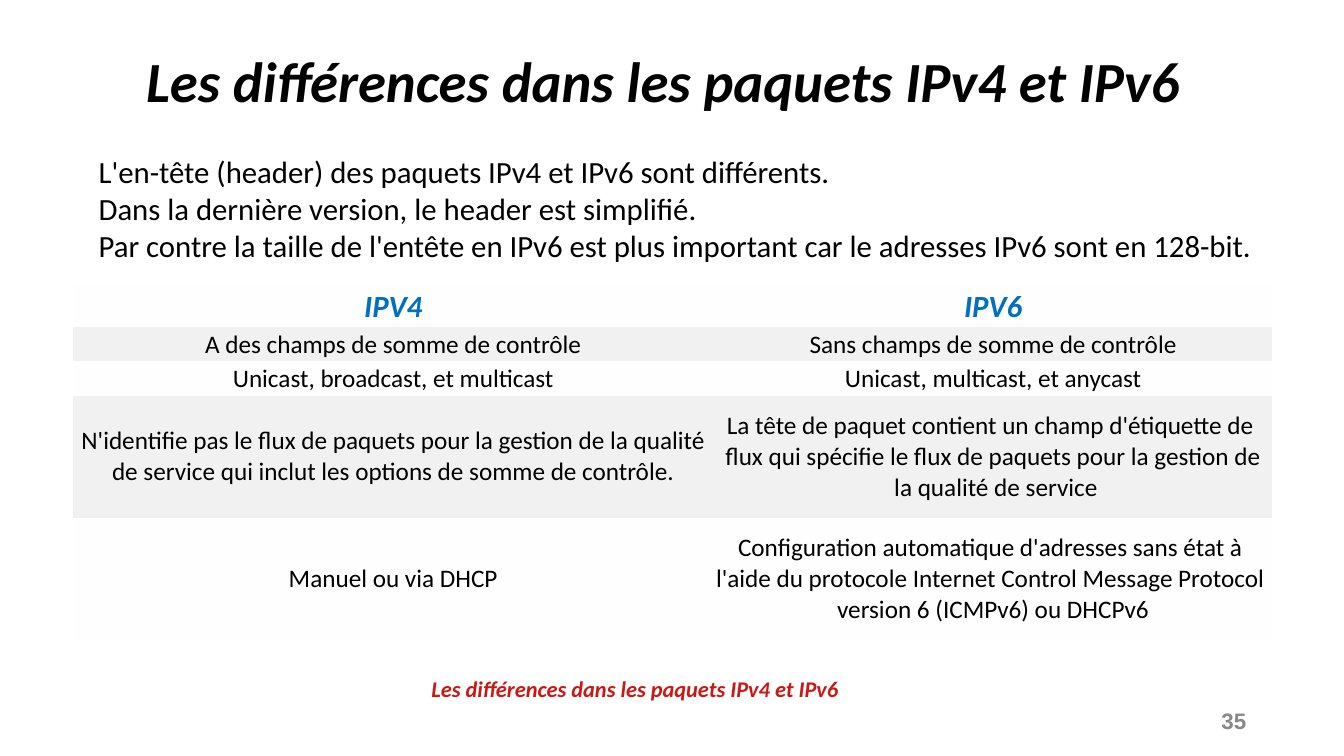
from dataclasses import dataclass

from pptx import Presentation
from pptx.dml.color import RGBColor
from pptx.enum.text import MSO_ANCHOR, PP_ALIGN
from pptx.oxml.ns import qn
from pptx.slide import Slide
from pptx.text.text import TextFrame
from pptx.util import Inches, Pt

BLACK = RGBColor(0x00, 0x00, 0x00)
WHITE = RGBColor(0xFF, 0xFF, 0xFF)
BLUE = RGBColor(0x00, 0x70, 0xC0)
RED = RGBColor(0xCA, 0x18, 0x14)
GREY = RGBColor(0x88, 0x88, 0x88)
PLAIN_ROW = RGBColor(0xFE, 0xFE, 0xFE)
SHADED_ROW = RGBColor(0xF1, 0xF1, 0xF1)
PLAIN_TABLE_STYLE = "{2D5ABB26-0587-4C30-8999-92F81FD0307C}"

TOPIC = "Les différences dans les paquets IPv4 et IPv6"


@dataclass(frozen=True)
class TextStyle:
    size: float
    color: RGBColor = BLACK
    bold: bool = False
    italic: bool = False
    font: str = "Calibri"
    align: PP_ALIGN = PP_ALIGN.LEFT
    line_spacing: float = 1.0


@dataclass(frozen=True)
class TextBlock:
    left: float
    top: float
    width: float
    height: float
    lines: tuple[str, ...]
    style: TextStyle
    anchor: MSO_ANCHOR = MSO_ANCHOR.TOP
    side_margin: float = 0.1


@dataclass(frozen=True)
class ComparisonRow:
    height: float
    ipv4: tuple[str, ...]
    ipv6: tuple[str, ...]


HEADER_STYLE = TextStyle(22, BLUE, bold=True, italic=True, align=PP_ALIGN.CENTER)
BODY_STYLE = TextStyle(18, align=PP_ALIGN.CENTER)

TEXT_BLOCKS = (
    TextBlock(12.03, 6.83, 0.38, 0.64, ("35",),
              TextStyle(16, GREY, bold=True, font="Arial", align=PP_ALIGN.RIGHT),
              MSO_ANCHOR.MIDDLE, side_margin=0.05),
    TextBlock(1.35, 0.59, 11.98, 1.38, (TOPIC,),
              TextStyle(40.5, bold=True, italic=True, line_spacing=0.7)),
    TextBlock(0.88, 1.47, 12.45, 1.21, (
        "L'en-tête (header) des paquets IPv4 et IPv6 sont différents.",
        "Dans la dernière version, le header est simplifié.",
        "Par contre la taille de l'entête en IPv6 est plus important car le "
        "adresses IPv6 sont en 128-bit.",
    ), TextStyle(22)),
    TextBlock(4.18, 6.65, 7.11, 0.37, (TOPIC,),
              TextStyle(16, RED, bold=True, italic=True)),
)

COLUMN_WIDTHS = (6.36, 5.54)
COMPARISON = (
    ComparisonRow(0.4, ("IPV4",), ("IPV6",)),
    ComparisonRow(0.34, ("A des champs de somme de contrôle",),
                  ("Sans champs de somme de contrôle",)),
    ComparisonRow(0.34, ("Unicast, broadcast, et multicast",),
                  ("Unicast, multicast, et anycast",)),
    ComparisonRow(1.21, (
        "N'identifie pas le flux de paquets pour la gestion de la qualité "
        "de service qui inclut les options de somme de contrôle.",
    ), (
        "La tête de paquet contient un champ d'étiquette de ",
        "flux qui spécifie le flux de paquets pour la gestion de",
        " la qualité de service",
    )),
    ComparisonRow(1.21, ("Manuel ou via DHCP",), (
        "Configuration automatique d'adresses sans état à ",
        "l'aide du protocole Internet Control Message Protocol ",
        "version 6 (ICMPv6) ou DHCPv6",
    )),
)


def write_lines(frame: TextFrame, lines: tuple[str, ...], style: TextStyle) -> None:
    for index, line in enumerate(lines):
        paragraph = frame.add_paragraph() if index else frame.paragraphs[0]
        paragraph.alignment = style.align
        paragraph.line_spacing = style.line_spacing
        run = paragraph.add_run()
        run.text = line
        run.font.name = style.font
        run.font.size = Pt(style.size)
        run.font.bold = style.bold
        run.font.italic = style.italic
        run.font.color.rgb = style.color


def add_text_block(slide: Slide, block: TextBlock) -> None:
    box = slide.shapes.add_textbox(Inches(block.left), Inches(block.top),
                                   Inches(block.width), Inches(block.height))
    frame = box.text_frame
    frame.word_wrap = True
    frame.vertical_anchor = block.anchor
    frame.margin_left = frame.margin_right = Inches(block.side_margin)
    frame.margin_top = frame.margin_bottom = Inches(0.05)
    write_lines(frame, block.lines, block.style)


def add_comparison(slide: Slide) -> None:
    graphic = slide.shapes.add_table(
        len(COMPARISON), len(COLUMN_WIDTHS), Inches(0.72), Inches(2.84),
        Inches(sum(COLUMN_WIDTHS)), Inches(sum(row.height for row in COMPARISON)))
    for style_id in graphic.element.iter(qn("a:tableStyleId")):
        style_id.text = PLAIN_TABLE_STYLE
    table = graphic.table
    table.horz_banding = False
    for column, width in zip(table.columns, COLUMN_WIDTHS):
        column.width = Inches(width)
    for index, (table_row, row) in enumerate(zip(table.rows, COMPARISON)):
        table_row.height = Inches(row.height)
        for cell, lines in zip(table_row.cells, (row.ipv4, row.ipv6)):
            cell.fill.solid()
            cell.fill.fore_color.rgb = SHADED_ROW if index % 2 else PLAIN_ROW
            cell.vertical_anchor = MSO_ANCHOR.MIDDLE
            cell.margin_left = cell.margin_right = Inches(0.02)
            cell.margin_top = cell.margin_bottom = Inches(0.02)
            write_lines(cell.text_frame, lines, BODY_STYLE if index else HEADER_STYLE)


def main() -> None:
    presentation = Presentation()
    presentation.slide_width = Inches(13.33)
    presentation.slide_height = Inches(7.5)
    slide = presentation.slides.add_slide(presentation.slide_layouts[6])
    slide.background.fill.solid()
    slide.background.fill.fore_color.rgb = WHITE
    for block in TEXT_BLOCKS:
        add_text_block(slide, block)
    add_comparison(slide)
    presentation.save("out.pptx")


if __name__ == "__main__":
    main()
